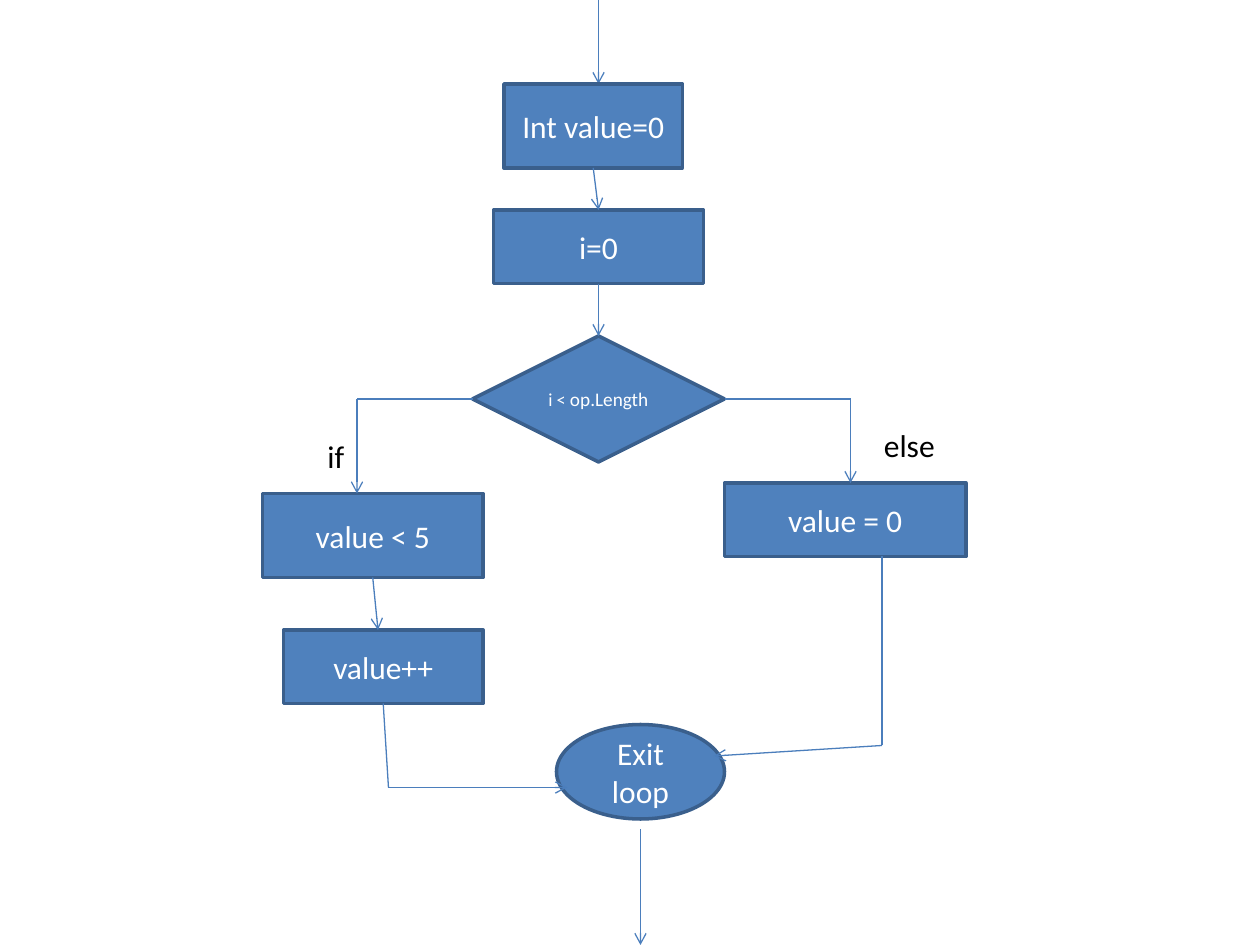
"""Build a flowchart slide of a counting loop with two branches."""
from lxml import etree
from pptx import Presentation
from pptx.dml.color import RGBColor
from pptx.enum.shapes import MSO_CONNECTOR, MSO_SHAPE
from pptx.enum.text import MSO_ANCHOR, MSO_AUTO_SIZE, PP_ALIGN
from pptx.oxml.ns import qn
from pptx.util import Inches, Pt

STRAIGHT = MSO_CONNECTOR.STRAIGHT
PROCESS = MSO_SHAPE.RECTANGLE
DECISION = MSO_SHAPE.FLOWCHART_DECISION
TERMINAL = MSO_SHAPE.OVAL
MIDDLE = MSO_ANCHOR.MIDDLE
CENTER = PP_ALIGN.CENTER
FIT_TEXT = MSO_AUTO_SIZE.SHAPE_TO_FIT_TEXT

BLUE = RGBColor(0x4F, 0x81, 0xBD)
BORDER = RGBColor(0x3A, 0x5F, 0x8C)
FLOW = RGBColor(0x4B, 0x7E, 0xBC)
WHITE = RGBColor(0xFF, 0xFF, 0xFF)
BLACK = RGBColor(0x00, 0x00, 0x00)

FONT = "Calibri"
TOP, LEFT, BOTTOM, RIGHT = range(4)
COLUMNS, ROWS = 120, 90
CELL = Inches(10) // COLUMNS


def grid(*cells):
    """Turn grid columns and rows into lengths."""
    return [round(cell * CELL) for cell in cells]


def add_run(paragraph, wording, size, color):
    """Add one formatted run."""
    run = paragraph.add_run()
    run.text = wording
    run.font.name = FONT
    run.font.size = Pt(size)
    run.font.color.rgb = color


def add_step(slide, kind, cells, *runs):
    """Add a flowchart step holding (wording, size) runs."""
    step = slide.shapes.add_shape(kind, *grid(*cells))
    step.shadow.inherit = False
    step.fill.solid()
    step.fill.fore_color.rgb = BLUE
    step.line.color.rgb = BORDER
    step.line.width = Pt(2)
    frame = step.text_frame
    frame.word_wrap = True
    frame.vertical_anchor = MIDDLE
    paragraph = frame.paragraphs[0]
    paragraph.alignment = CENTER
    for wording, size in runs:
        add_run(paragraph, wording, size, WHITE)
    return step


def add_label(slide, cells, wording, wrap):
    """Add a branch label."""
    frame = slide.shapes.add_textbox(*grid(*cells)).text_frame
    frame.word_wrap = wrap
    frame.auto_size = FIT_TEXT
    add_run(frame.paragraphs[0], wording, 18, BLACK)


def add_flow(slide, start, end, source=None, target=None, arrow=True):
    """Add a flow line, joined to (step, side) pairs where given."""
    flow = slide.shapes.add_connector(STRAIGHT, *grid(*start, *end))
    if source:
        flow.begin_connect(*source)
    if target:
        flow.end_connect(*target)
    flow.line.color.rgb = FLOW
    flow.line.width = Pt(0.75)
    if arrow:
        outline = flow.line._get_or_add_ln()
        etree.SubElement(outline, qn("a:tailEnd"), type="arrow")
    etree.SubElement(flow._element.spPr, qn("a:effectLst"))


def main():
    """Build and save the slide."""
    deck = Presentation()
    deck.slide_width, deck.slide_height = grid(COLUMNS, ROWS)
    slide = deck.slides.add_slide(deck.slide_layouts[6])

    add_flow(slide, (57, 0), (57, 8))
    declare = add_step(slide, PROCESS, (48, 8, 17, 8), ("Int value=0", 18))
    counter = add_step(slide, PROCESS, (47, 20, 20, 7), ("i=0", 18))
    condition = add_step(slide, DECISION, (45, 32, 24, 12),
                         ("i < ", 10.5), ("op.Length", 11))
    compare = add_step(slide, PROCESS, (25, 47, 21, 8), ("value < 5", 18))
    add_step(slide, PROCESS, (69, 46, 23, 7), ("value = 0", 18))
    increment = add_step(slide, PROCESS, (27, 60, 19, 7), ("value++", 18))
    add_step(slide, TERMINAL, (53, 69, 16, 9), ("Exit loop", 18))

    add_label(slide, (30, 41, 4.1, 4.8), "if", True)
    add_label(slide, (83, 40, 7.3, 4.8), "else", False)

    add_flow(slide, (56.5, 16), (57, 20), (declare, BOTTOM), (counter, TOP))
    add_flow(slide, (57, 27), (57, 32), (counter, BOTTOM), (condition, TOP))
    add_flow(slide, (45, 38), (34, 38), (condition, LEFT), arrow=False)
    add_flow(slide, (34, 38), (34, 47))
    add_flow(slide, (69, 38), (81, 38), (condition, RIGHT), arrow=False)
    add_flow(slide, (81, 38), (81, 46))
    add_flow(slide, (35.5, 55), (36, 60), (compare, BOTTOM))
    add_flow(slide, (36.5, 67), (37, 75), (increment, BOTTOM), arrow=False)
    add_flow(slide, (37, 75), (54, 75))
    add_flow(slide, (84, 53), (84, 71), arrow=False)
    add_flow(slide, (84, 71), (68, 72))
    add_flow(slide, (61, 79), (61, 90))

    deck.save("out.pptx")


if __name__ == "__main__":
    main()
